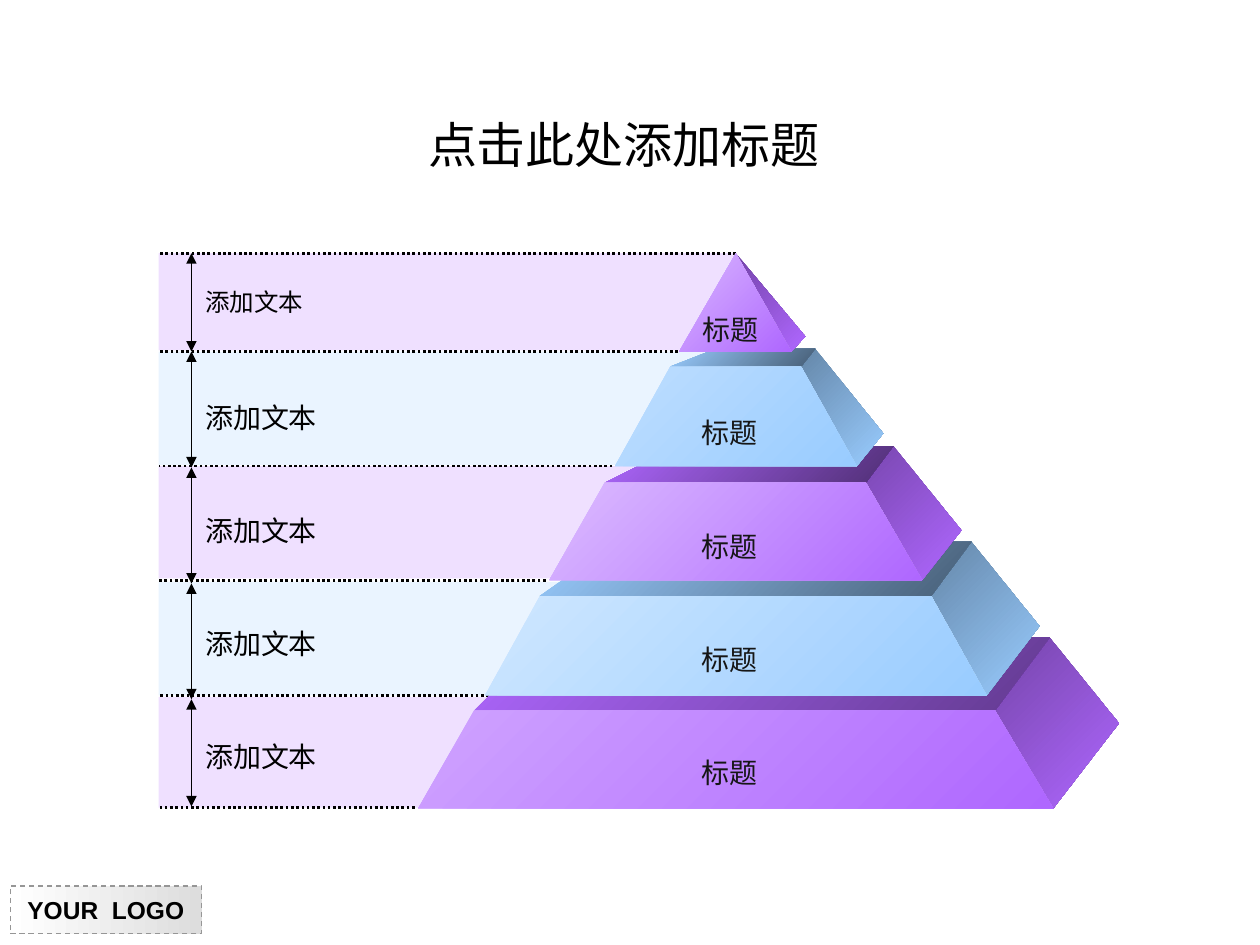
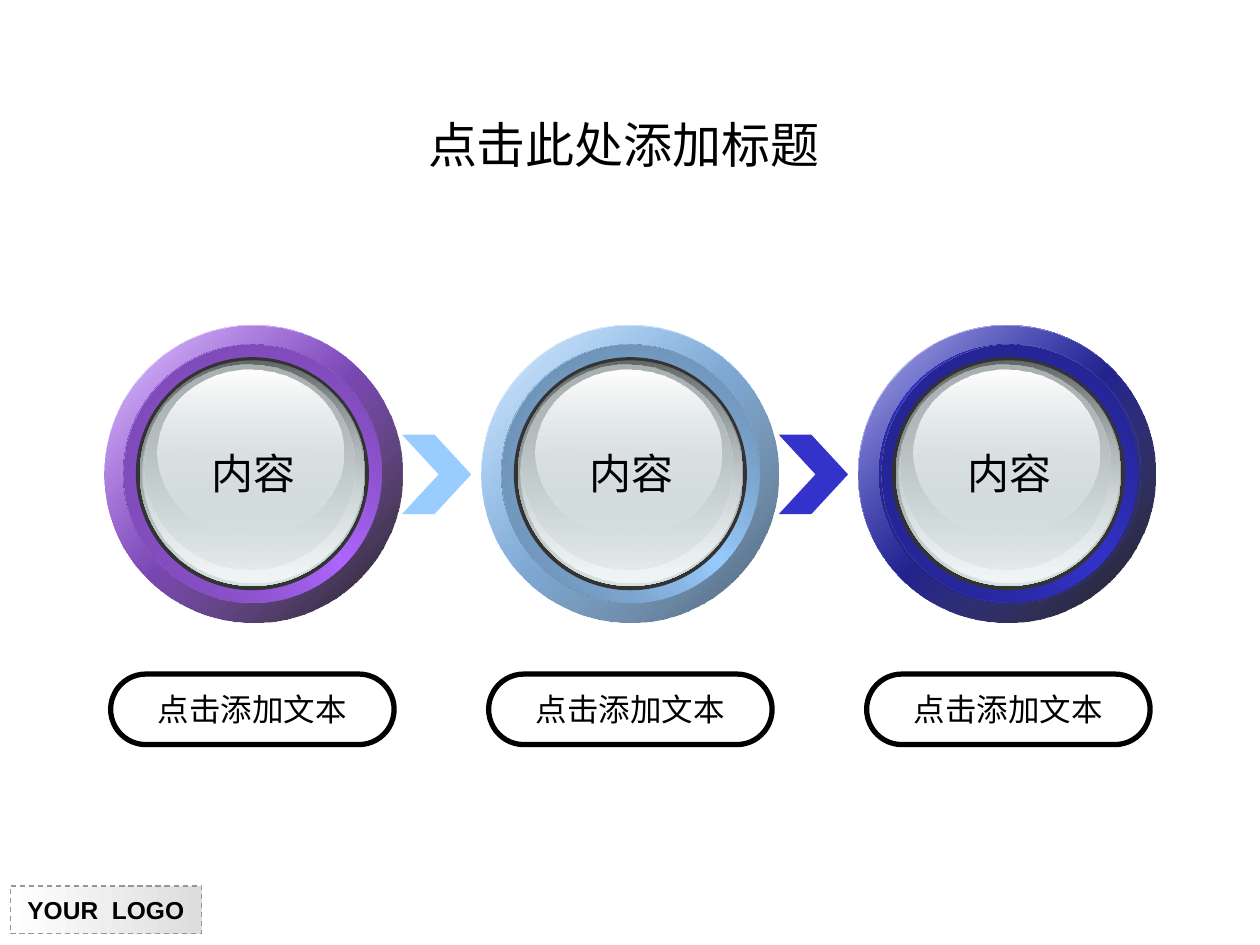
"""Build a layered pyramid slide and a three-step badge slide."""
from typing import NamedTuple, Optional

from lxml.etree import SubElement
from pptx import Presentation
from pptx.dml.color import RGBColor
from pptx.enum.dml import MSO_LINE
from pptx.enum.shapes import MSO_CONNECTOR, MSO_SHAPE
from pptx.enum.text import MSO_ANCHOR, MSO_AUTO_SIZE, PP_ALIGN
from pptx.oxml.ns import qn
from pptx.util import Pt

COLOURS = {
    "black": "000000", "white": "FFFFFF", "silver": "DDDDDD", "grey": "969696",
    "ink": "161616", "rim": "333333",
    "purple": "AF67FF", "blue": "99CCFF", "navy": "3333CC",
    "purple side 1": "7444A9", "purple side 3": "7947B0", "purple side 5": "7545AA",
    "blue side": "6587A9", "blue lid": "475E76",
    "purple lid 3": "502F75", "purple lid 5": "623A8F",
    "purple front 1": "D9B7FF", "purple front 3": "DCBCFF", "purple front 5": "CFA3FF",
    "blue front 2": "BEDEFF", "blue front 4": "CFE7FF",
    "purple deep": "5F388A", "purple edge": "6F41A2",
    "blue deep": "536E8A", "blue edge": "6182A2",
    "navy deep": "1C1C6E", "navy edge": "202082",
    "glass": "D6E1E2", "glass dark": "636869", "glass mid": "AAB2B3", "glass light": "F1F5F5",
}
TITLE = "点击此处添加标题"
SANS, SERIF, CJK_SANS = "Arial", "Times New Roman", "DejaVu Sans"
BAND_LEFT, ARROW_X = 90.7, 109.4
RING_STEP, BADGE_STEP = 215.3, 216


class Box(NamedTuple):
    """A rectangle in points."""
    left: float
    top: float
    width: float
    height: float

    def moved(self, across: float) -> "Box":
        """Return the box shifted to the right."""
        return self._replace(left=self.left + across)


class Stop(NamedTuple):
    """A gradient stop with its opacity in percent."""
    position: int
    colour: str
    opacity: int = 100


class Gradient(NamedTuple):
    """A linear gradient with a clockwise angle."""
    stops: list[Stop]
    angle: int = 45


class TextStyle(NamedTuple):
    """The look of a text."""
    size: float
    font: str
    colour: str = "black"
    bold: bool = False
    align: PP_ALIGN = PP_ALIGN.CENTER
    wrap: bool = False


class Tier(NamedTuple):
    """One pyramid layer, with edges as (left, right, y)."""
    base: tuple[float, float, float]
    top: tuple[float, float, float]
    back: tuple[float, float, float]
    corner: tuple[float, float]
    colour: str
    side: str
    lid: Optional[str]
    front: str


class Band(NamedTuple):
    """The strip and arrow beside one pyramid layer."""
    top: float
    bottom: float
    right: float
    colour: str


class Badge(NamedTuple):
    """The colours of one round badge."""
    colour: str
    deep: str
    edge: str
    shade: Stop
    highlight_shift: float = 0


TIERS = [
    Tier((388.1, 452.2, 200.9), (420.5, 420.5, 144.7), (420.5, 420.5, 144.7), (460.1, 192.2),
         "purple", "purple side 1", None, "purple front 1"),
    Tier((351.4, 489.6, 266.4), (383, 457.8, 209.5), (409, 465.8, 199.4), (504.7, 247.7),
         "blue", "blue side", "blue lid", "blue front 2"),
    Tier((313.9, 527, 331.5), (345.6, 494.8, 275.8), (387.4, 510.5, 254.9), (549.4, 303.1),
         "purple", "purple side 3", "purple lid 3", "purple front 3"),
    Tier((277.2, 563.8, 397.4), (308.5, 532.1, 340.6), (352.8, 555.1, 309.6), (594, 357.8),
         "blue", "blue side", "blue lid", "blue front 4"),
    Tier((239, 601.9, 461.9), (271, 568.6, 406), (313.2, 599.8, 364.3), (639.4, 413.3),
         "purple", "purple side 5", "purple lid 5", "purple front 5"),
]
BANDS = [
    Band(144.7, 200.2, 420.5, "purple"),
    Band(200.9, 265.7, 427, "blue"),
    Band(266.4, 330.5, 391, "purple"),
    Band(332.6, 397.4, 342.7, "blue"),
    Band(398.2, 461.5, 288.7, "purple"),
]
RULES = [(144.7, 420.5), (200.9, 387.4), (266.4, 349.9),
         (331.6, 311.8), (397.6, 279.4), (461.5, 236.9)]
ARROW_LEVELS = [144.7, 200.9, 267.1, 333.4, 399.6, 460.8]
BADGES = [
    Badge("purple", "purple deep", "purple edge", Stop(100, "black", 90)),
    Badge("blue", "blue deep", "blue edge", Stop(100, "blue lid")),
    Badge("navy", "navy deep", "navy edge", Stop(100, "black", 90), 1.5),
]
GLASS_LAYERS = [
    (Box(79.9, 205.9, 128.9, 128.9), Gradient([Stop(0, "glass dark"), Stop(100, "glass")], 90)),
    (Box(81.7, 206.6, 126, 126), Gradient([Stop(0, "glass", 0), Stop(100, "glass light")], 90)),
    (Box(82.8, 208.1, 119.5, 117.4), Gradient([Stop(0, "glass mid"), Stop(100, "glass", 48)], 90)),
    (Box(89.8, 211, 106.6, 95), Gradient([Stop(0, "white"), Stop(100, "glass", 38)], 90)),
]


def rgb(colour: str) -> RGBColor:
    """Look up a colour by name."""
    return RGBColor.from_string(COLOURS[colour])


def add_opacity(colour_element, percent: int) -> None:
    """Make a colour element partly transparent."""
    if percent < 100:
        SubElement(colour_element, qn("a:alpha")).set("val", str(percent * 1000))


def fill_solid(shape, colour: str, opacity: int = 100) -> None:
    """Fill a shape with one colour."""
    shape.fill.solid()
    shape.fill.fore_color.rgb = rgb(colour)
    add_opacity(shape.element.spPr.find(f"{qn('a:solidFill')}/{qn('a:srgbClr')}"), opacity)


def fill_gradient(shape, gradient: Gradient) -> None:
    """Fill a shape with a linear gradient."""
    shape.fill.gradient()
    shape.fill.gradient_angle = -gradient.angle % 360
    stop_list = shape.element.spPr.find(f"{qn('a:gradFill')}/{qn('a:gsLst')}")
    for old_stop in list(stop_list):
        stop_list.remove(old_stop)
    for stop in gradient.stops:
        stop_element = SubElement(stop_list, qn("a:gs"))
        stop_element.set("pos", str(stop.position * 1000))
        colour_element = SubElement(stop_element, qn("a:srgbClr"))
        colour_element.set("val", COLOURS[stop.colour])
        add_opacity(colour_element, stop.opacity)


def make_plain(shape) -> None:
    """Remove the shadow and the outline of a shape."""
    shape.shadow.inherit = False
    shape.line.fill.background()


def add_plain_shape(slide, kind: MSO_SHAPE, box: Box):
    """Add a preset shape without shadow or outline."""
    shape = slide.shapes.add_shape(kind, *map(Pt, box))
    make_plain(shape)
    return shape


def add_disc(slide, box: Box, gradient: Gradient) -> None:
    """Add a gradient ellipse."""
    fill_gradient(add_plain_shape(slide, MSO_SHAPE.OVAL, box), gradient)


def add_face(slide, points: list[tuple[float, float]], start: str, end: str) -> None:
    """Add a closed polygon shaded from one colour to another."""
    corners = [(Pt(x), Pt(y)) for x, y in points]
    builder = slide.shapes.build_freeform(*corners[0])
    builder.add_line_segments(corners[1:], close=True)
    face = builder.convert_to_shape()
    make_plain(face)
    fill_gradient(face, Gradient([Stop(0, start), Stop(100, end)]))


def write_text(shape, text: str, style: TextStyle, anchor: MSO_ANCHOR = MSO_ANCHOR.MIDDLE) -> None:
    """Put one formatted paragraph into a shape."""
    frame = shape.text_frame
    frame.text = text
    frame.word_wrap = style.wrap
    frame.auto_size = MSO_AUTO_SIZE.NONE
    frame.vertical_anchor = anchor
    paragraph = frame.paragraphs[0]
    paragraph.alignment = style.align
    paragraph.font.size = Pt(style.size)
    paragraph.font.name = style.font
    paragraph.font.bold = style.bold
    paragraph.font.color.rgb = rgb(style.colour)


def add_text(slide, box: Box, text: str, style: TextStyle) -> None:
    """Add a text box."""
    write_text(slide.shapes.add_textbox(*map(Pt, box)), text, style, MSO_ANCHOR.TOP)


def add_line(slide, start: tuple[float, float], end: tuple[float, float], width: float):
    """Add a straight black line without shadow."""
    line = slide.shapes.add_connector(MSO_CONNECTOR.STRAIGHT, *map(Pt, (*start, *end)))
    line.line.color.rgb = rgb("black")
    line.line.width = Pt(width)
    SubElement(line.element.spPr, qn("a:effectLst"))
    return line


def add_titled_slide(presentation):
    """Add a slide with the shared title and logo tag."""
    slide = presentation.slides.add_slide(presentation.slide_layouts[5])
    title = slide.shapes.title
    title.left, title.top, title.width, title.height = map(Pt, (173.5, 56.9, 365.8, 51.1))
    write_text(title, TITLE, TextStyle(28, SANS, wrap=True))
    tag = add_plain_shape(slide, MSO_SHAPE.RECTANGLE, Box(5.8, 506.2, 109.4, 27.4))
    fill_gradient(tag, Gradient([Stop(0, "white"), Stop(100, "silver")], 0))
    tag.line.color.rgb = rgb("grey")
    tag.line.width = Pt(0.75)
    tag.line.dash_style = MSO_LINE.DASH
    write_text(tag, "YOUR  LOGO", TextStyle(14, SANS, bold=True))
    return slide


def add_tier(slide, tier: Tier) -> None:
    """Draw the side, lid and front of one pyramid layer."""
    base_left, base_right, base_y = tier.base
    top_left, top_right, top_y = tier.top
    back_left, back_right, back_y = tier.back
    add_face(slide, [(base_right, base_y), (top_right, top_y), (back_right, back_y), tier.corner],
             tier.side, tier.colour)
    if tier.lid:
        add_face(slide, [(top_left, top_y), (top_right, top_y),
                         (back_right, back_y), (back_left, back_y)], tier.colour, tier.lid)
    add_face(slide, [(base_left, base_y), (base_right, base_y),
                     (top_right, top_y), (top_left, top_y)], tier.front, tier.colour)


def build_pyramid_slide(presentation) -> None:
    """Draw the five-layer pyramid with its side bands."""
    slide = add_titled_slide(presentation)
    for band in BANDS:
        box = Box(BAND_LEFT, band.top, band.right - BAND_LEFT, band.bottom - band.top)
        fill_solid(add_plain_shape(slide, MSO_SHAPE.RECTANGLE, box), band.colour, 20)
    for level, right in RULES:
        rule = add_line(slide, (right, level), (BAND_LEFT, level), 1.5)
        rule.line.dash_style = MSO_LINE.ROUND_DOT
    for upper, lower in zip(ARROW_LEVELS, ARROW_LEVELS[1:]):
        arrow = add_line(slide, (ARROW_X, upper), (ARROW_X, lower), 0.75)
        for arrowhead in ("a:headEnd", "a:tailEnd"):
            SubElement(arrow.line._get_or_add_ln(), qn(arrowhead)).set("type", "triangle")
    for tier in reversed(TIERS):
        add_tier(slide, tier)
    for index in range(len(TIERS)):
        first = index == 0
        size, font = (14, CJK_SANS) if first else (16, SERIF)
        note_box = Box(110.2, 160.6 + 64.6 * index, 70.6 if first else 77.8, 26.6)
        add_text(slide, note_box, "添加文本", TextStyle(size, font, align=PP_ALIGN.LEFT))
        label_box = Box(387.4, 175, 60.5, 26.6) if first else Box(362.9, 169.2 + 64.8 * index, 108, 26.6)
        add_text(slide, label_box, "标题", TextStyle(16, SANS if first else SERIF, "ink", wrap=True))


def add_badge(slide, badge: Badge, index: int) -> None:
    """Draw one glass badge with its word and caption."""
    ring = Box(59.8, 185.8, 169.9, 169.9).moved(RING_STEP * index)
    across = BADGE_STEP * index
    groove = Box(70.4, 196.9, 147.6, 147.6).moved(across)
    add_disc(slide, ring, Gradient([Stop(0, "white"), Stop(50, badge.colour), Stop(100, "white")]))
    add_disc(slide, ring, Gradient([Stop(0, badge.colour, 32), badge.shade]))
    add_disc(slide, groove, Gradient(
        [Stop(0, badge.deep), Stop(50, badge.colour), Stop(100, badge.deep)], 315))
    add_disc(slide, groove.moved(badge.highlight_shift),
             Gradient([Stop(0, badge.edge), Stop(100, badge.colour, 0)]))
    rim = add_plain_shape(slide, MSO_SHAPE.OVAL, Box(77.6, 204.1, 133.2, 133.2).moved(across))
    fill_solid(rim, "rim")
    for box, gradient in GLASS_LAYERS:
        add_disc(slide, box.moved(across), gradient)
    caption = add_plain_shape(slide, MSO_SHAPE.ROUNDED_RECTANGLE, Box(63.2, 385.2, 162, 40.3).moved(across))
    caption.adjustments[0] = 0.5
    caption.fill.background()
    caption.line.color.rgb = rgb("black")
    caption.line.width = Pt(3)
    write_text(caption, "点击添加文本", TextStyle(18, CJK_SANS))
    add_text(slide, Box(113.8, 252, 61.9, 36).moved(across), "内容", TextStyle(24, SANS))


def build_badge_slide(presentation) -> None:
    """Draw three badges joined by chevrons."""
    slide = add_titled_slide(presentation)
    for index, badge in enumerate(BADGES[1:]):
        chevron = add_plain_shape(slide, MSO_SHAPE.CHEVRON, Box(229.7, 248.4, 39.6, 45.4).moved(RING_STEP * index))
        chevron.adjustments[0] = 0.53
        fill_solid(chevron, badge.colour)
    for index, badge in enumerate(BADGES):
        add_badge(slide, badge, index)


def main() -> None:
    """Build and save the presentation."""
    presentation = Presentation()
    presentation.slide_width, presentation.slide_height = Pt(720), Pt(540)
    build_pyramid_slide(presentation)
    build_badge_slide(presentation)
    presentation.save("out.pptx")


if __name__ == "__main__":
    main()
